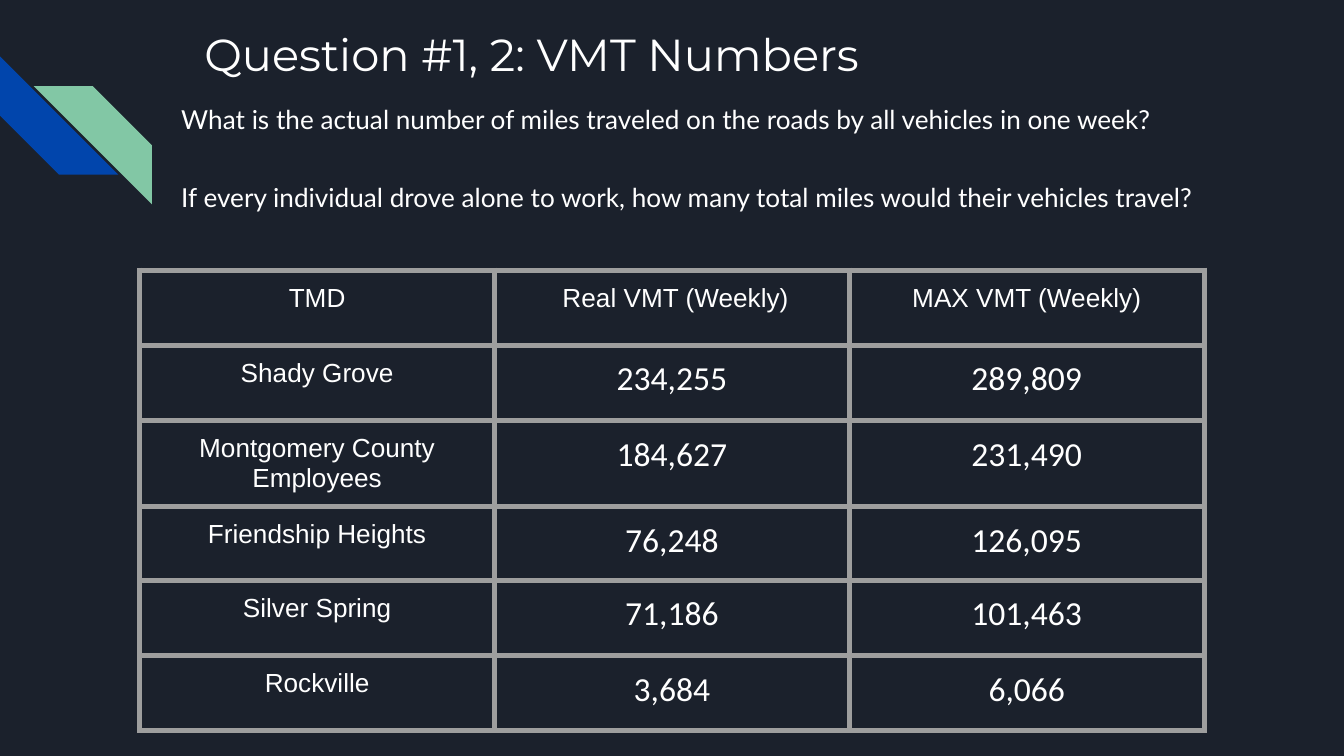
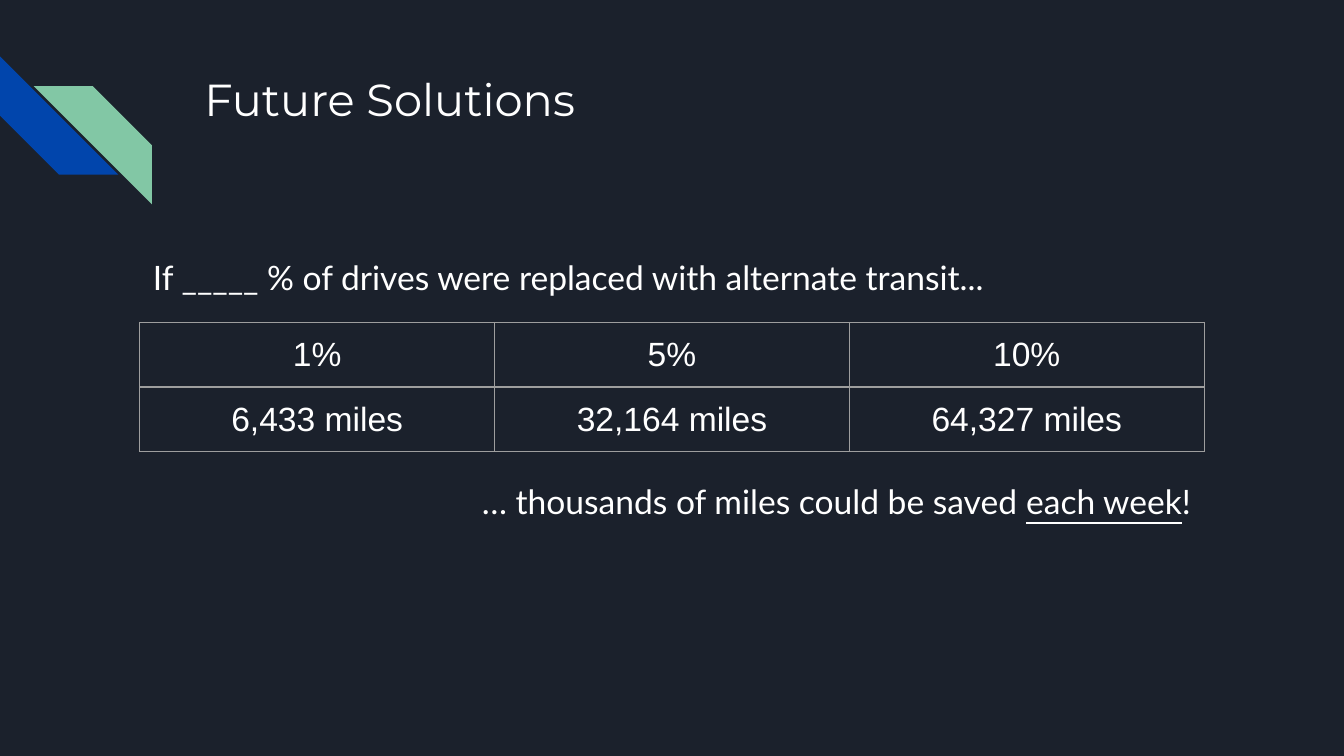
from lxml import etree
from pptx import Presentation
from pptx.dml.color import RGBColor
from pptx.enum.shapes import MSO_SHAPE
from pptx.enum.text import MSO_ANCHOR, MSO_AUTO_SIZE, PP_ALIGN
from pptx.oxml.ns import qn
from pptx.util import Inches, Pt

STRIPE = MSO_SHAPE.DIAGONAL_STRIPE
TOP = MSO_ANCHOR.TOP
LEFT, CENTER, RIGHT = PP_ALIGN.LEFT, PP_ALIGN.CENTER, PP_ALIGN.RIGHT
NO_AUTOFIT, GROW = MSO_AUTO_SIZE.NONE, MSO_AUTO_SIZE.SHAPE_TO_FIT_TEXT

COLORS = {
    "background": "1B212C",
    "blue": "0145AC",
    "green": "82C7A5",
    "text": "FFFFFF",
    "border": "9E9E9E",
}
TITLE_FONT, BODY_FONT, LABEL_FONT, NUMBER_FONT = "Montserrat", "Lato", "Arial", "Calibri"
TITLE_ONLY_LAYOUT = 5
SLIDE_WIDTH = Inches(10)
SLIDE_HEIGHT = SLIDE_WIDTH * 9 // 16
STRIPE_SIZE = 0.88
INSET = 0.1
TABLE_LEFT, COLUMN_WIDTH = 1.04, 2.64

VMT_ROWS = [
    ("TMD", " Real VMT (Weekly)", "MAX VMT (Weekly)"),
    ("Shady Grove", "234,255", "289,809"),
    ("Montgomery County Employees", "184,627", "231,490"),
    ("Friendship Heights", "76,248", "126,095"),
    ("Silver Spring", "71,186", "101,463"),
    ("Rockville", "3,684", "6,066"),
]
VMT_HEIGHTS = [0.56, 0.56, 0.64, 0.55, 0.56, 0.56]
SAVINGS_ROWS = [
    ("1%", "5%", "10%"),
    ("6,433 miles", "32,164 miles", "64,327 miles"),
]
SAVINGS_HEIGHTS = [0.42, 0.42]
LABEL_STYLE = (LABEL_FONT, 14)
NUMBER_STYLE = (NUMBER_FONT, 18)
SAVINGS_STYLE = (LABEL_FONT, 18)


def color(name):
    return RGBColor.from_string(COLORS[name])


def style_paragraph(paragraph, font_name, size, alignment=LEFT):
    paragraph.alignment = alignment
    paragraph.font.name = font_name
    paragraph.font.size = Pt(size)
    paragraph.font.color.rgb = color("text")


def set_insets(target):
    target.margin_left = target.margin_right = Inches(INSET)
    target.margin_top = target.margin_bottom = Inches(INSET)


def add_layout_stripe(slide, left, top, rotation, fill):
    stripe = slide.shapes.add_shape(
        STRIPE, Inches(left), Inches(top), Inches(STRIPE_SIZE), Inches(STRIPE_SIZE))
    stripe.rotation = rotation
    stripe.shadow.inherit = False
    stripe.fill.solid()
    stripe.fill.fore_color.rgb = color(fill)
    stripe.line.fill.background()
    slide.slide_layout.shapes._spTree.append(stripe._element)


def set_background(master):
    fill = master.background.fill
    fill.solid()
    fill.fore_color.rgb = color("background")


def set_title(slide, text, top):
    title = slide.shapes.title
    title.left, title.top = Inches(1.42), Inches(top)
    title.width, title.height = Inches(7.7), Inches(1)
    frame = title.text_frame
    frame.text = text
    frame.auto_size = NO_AUTOFIT
    frame.vertical_anchor = TOP
    set_insets(frame)
    style_paragraph(frame.paragraphs[0], TITLE_FONT, 24)


def add_text(slide, text, left, top, width, height, size, alignment=LEFT):
    box = slide.shapes.add_textbox(
        Inches(left), Inches(top), Inches(width), Inches(height))
    frame = box.text_frame
    frame.word_wrap = True
    frame.auto_size = GROW
    set_insets(frame)
    paragraph = frame.paragraphs[0]
    paragraph.add_run().text = text
    style_paragraph(paragraph, BODY_FONT, size, alignment)
    return paragraph


def set_borders(cell, width):
    properties = cell._tc.get_or_add_tcPr()
    for side in ("a:lnL", "a:lnR", "a:lnT", "a:lnB"):
        line = etree.SubElement(properties, qn(side), w=str(Pt(width)))
        fill = etree.SubElement(line, qn("a:solidFill"))
        etree.SubElement(fill, qn("a:srgbClr"), val=COLORS["border"])


def add_table(slide, rows, heights, top, border_width, cell_style):
    column_count = len(rows[0])
    frame = slide.shapes.add_table(
        len(rows), column_count, Inches(TABLE_LEFT), Inches(top),
        Inches(COLUMN_WIDTH * column_count), Inches(sum(heights)))
    table = frame.table
    table.first_row = False
    table.horz_banding = False
    for column in table.columns:
        column.width = Inches(COLUMN_WIDTH)
    for row_index, (values, height) in enumerate(zip(rows, heights)):
        table.rows[row_index].height = Inches(height)
        for column_index, value in enumerate(values):
            cell = table.cell(row_index, column_index)
            cell.text = value
            set_insets(cell)
            set_borders(cell, border_width)
            cell.fill.background()
            font_name, size = cell_style(row_index, column_index)
            style_paragraph(cell.text_frame.paragraphs[0], font_name, size, CENTER)


def vmt_style(row_index, column_index):
    return NUMBER_STYLE if row_index and column_index else LABEL_STYLE


def savings_style(row_index, column_index):
    return SAVINGS_STYLE


def build_vmt_slide(slide):
    set_title(slide, "Question #1, 2: VMT Numbers", 0.1)
    add_table(slide, VMT_ROWS, VMT_HEIGHTS, 2.01, 3, vmt_style)
    questions = [
        "What is the actual number of miles traveled on the roads by all vehicles in one week?",
        "If every individual drove alone to work, how many total miles would their vehicles travel?",
    ]
    for index, question in enumerate(questions):
        add_text(slide, question, 1.25, 0.67 + 0.58 * index, 8.19, 0.44, 14)


def build_solutions_slide(slide):
    set_title(slide, "Future Solutions", 0.43)
    add_table(slide, SAVINGS_ROWS, SAVINGS_HEIGHTS, 2.4, 0.75, savings_style)
    add_text(slide, "If _____ % of drives were replaced with alternate transit...",
             1.04, 1.81, 7.3, 0.5, 18)
    conclusion = add_text(slide, "… thousands of miles could be saved ",
                          1.66, 3.48, 7.3, 0.5, 18, RIGHT)
    emphasis = conclusion.add_run()
    emphasis.text = "each week"
    emphasis.font.underline = True
    conclusion.add_run().text = "!"


def main():
    presentation = Presentation()
    presentation.slide_width = SLIDE_WIDTH
    presentation.slide_height = SLIDE_HEIGHT
    set_background(presentation.slide_master)
    layout = presentation.slide_layouts[TITLE_ONLY_LAYOUT]
    vmt_slide = presentation.slides.add_slide(layout)
    add_layout_stripe(vmt_slide, 0, 0.42, 270, "blue")
    add_layout_stripe(vmt_slide, 0.25, 0.64, 90, "green")
    build_vmt_slide(vmt_slide)
    build_solutions_slide(presentation.slides.add_slide(layout))
    presentation.save("out.pptx")


if __name__ == "__main__":
    main()
